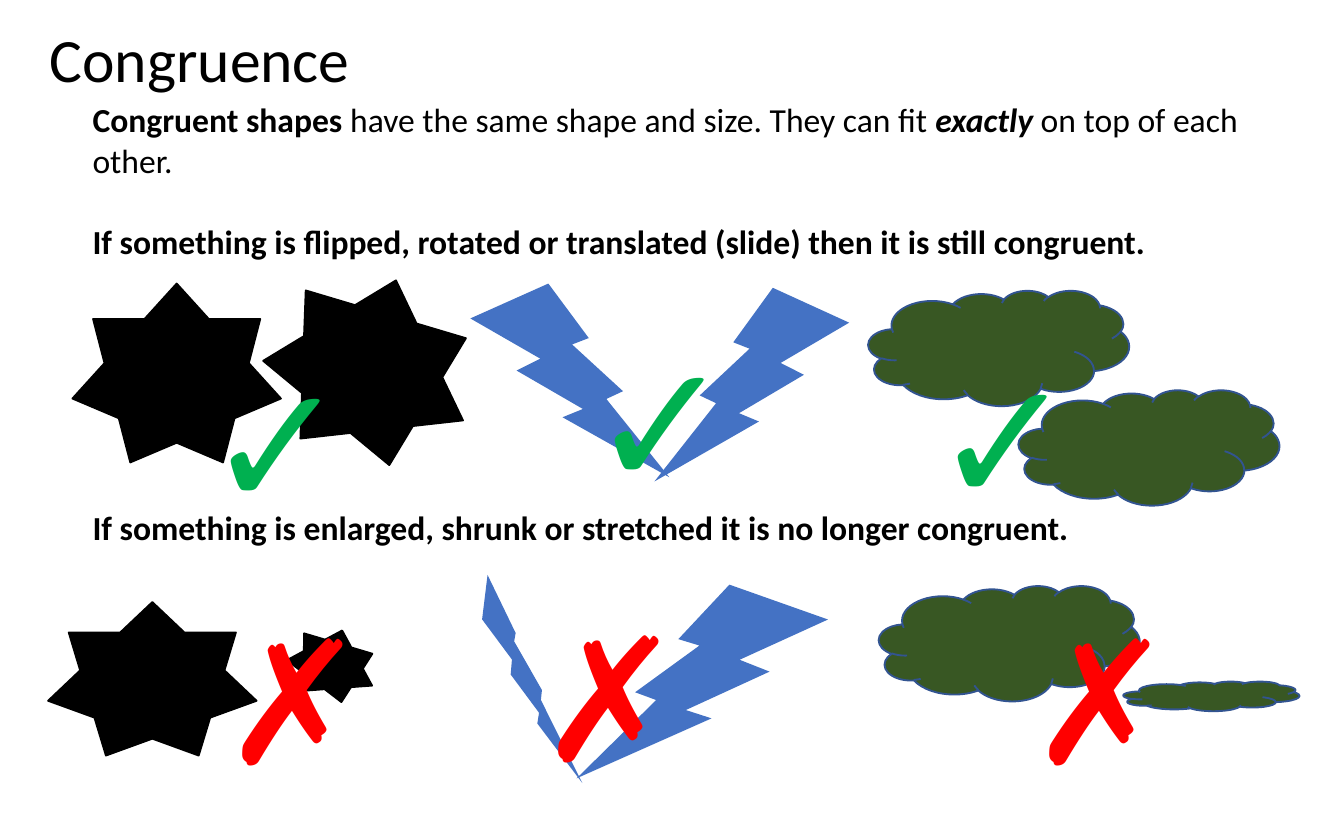
from pptx import Presentation
from pptx.dml.color import RGBColor
from pptx.enum.shapes import MSO_SHAPE
from pptx.enum.text import MSO_ANCHOR
from pptx.util import Cm, Pt

STAR = MSO_SHAPE.STAR_7_POINT
BOLT = MSO_SHAPE.LIGHTNING_BOLT
CLOUD = MSO_SHAPE.CLOUD
TOP, MIDDLE = MSO_ANCHOR.TOP, MSO_ANCHOR.MIDDLE
FONT = "Calibri"
BLACK, BLUE, GREEN, RED = "000000", "4472C4", "00B050", "FF0000"
LEAF, CLOUD_EDGE = "385723", "325491"
LINE_HEIGHT = 21.97


def colour(value):
    return RGBColor.from_string(value)


class Painter:
    """Draws styled elements on the current slide."""

    def __init__(self, page):
        self.page = page

    def text(self, left, top, width, height, paragraphs, size, ink=BLACK, anchor=TOP, spacing=1.0):
        box = self.page.shapes.add_textbox(Cm(left), Cm(top), Cm(width), Cm(height))
        frame = box.text_frame
        frame.word_wrap = True
        frame.vertical_anchor = anchor
        for index, (before, spans) in enumerate(paragraphs):
            para = frame.add_paragraph() if index else frame.paragraphs[0]
            para.line_spacing = spacing
            para.space_before = Pt(before)
            para.font.name = FONT
            para.font.size = Pt(size)
            para.font.color.rgb = colour(ink)
            for words, bold, italic in spans:
                span = para.add_run()
                span.text = words
                span.font.name = FONT
                span.font.size = Pt(size)
                span.font.color.rgb = colour(ink)
                span.font.bold = bold
                span.font.italic = italic

    def mark(self, symbol, left, top, width, ink):
        self.text(left, top, width, 4.19, [(0, [(symbol, False, False)])], 92, ink)

    def figure(self, kind, left, top, width, height, fill, edge=None, angle=0, flipped=False):
        shape = self.page.shapes.add_shape(kind, Cm(left), Cm(top), Cm(width), Cm(height))
        shape.shadow.inherit = False
        shape.fill.solid()
        shape.fill.fore_color.rgb = colour(fill)
        if edge:
            shape.line.color.rgb = colour(edge)
            shape.line.width = Pt(1)
        else:
            shape.line.fill.background()
        shape.rotation = angle
        if flipped:
            shape.element.spPr.get_or_add_xfrm().set("flipH", "1")

    def star(self, left, top, width, height, angle=0):
        self.figure(STAR, left, top, width, height, BLACK, BLACK, angle)

    def bolt(self, left, top, width, height, angle=0, flipped=False):
        self.figure(BOLT, left, top, width, height, BLUE, None, angle, flipped)

    def cloud(self, left, top, width=4.93, height=2.18):
        self.figure(CLOUD, left, top, width, height, LEAF, CLOUD_EDGE)


def main():
    deck = Presentation()
    deck.slide_width, deck.slide_height = Cm(25.4), Cm(15.875)
    painter = Painter(deck.slides.add_slide(deck.slide_layouts[6]))

    painter.text(0.69, -0.36, 21.89, 3.07, [(0, [("Congruence", False, False)])], 33,
                 anchor=MIDDLE, spacing=0.9)
    painter.text(1.5, 1.75, 23.39, 8.71, [
        (0, [("Congruent shapes", True, False),
             (" have the same shape and size. They can fit ", False, False),
             ("exactly", True, True),
             (" on top of each other.", False, False)]),
        (LINE_HEIGHT, [("If something is flipped, rotated or translated (slide) "
                        "then it is still congruent.", True, False)]),
        (6 * LINE_HEIGHT, [("If something is enlarged, shrunk or stretched "
                            "it is no longer congruent.", True, False)]),
    ], 18)

    painter.star(1.37, 5.36, 3.94, 3.38)
    painter.star(5.03, 5.23, 3.94, 3.38, angle=16.6)
    painter.bolt(8.89, 5.36, 3.76, 3.66)
    painter.bolt(12.37, 5.44, 3.68, 3.66, flipped=True)
    painter.cloud(16.41, 5.49)
    painter.cloud(19.25, 7.37)

    painter.star(0.91, 11.38, 3.94, 2.9)
    painter.star(5.44, 11.89, 1.68, 1.3, angle=16.6)
    painter.bolt(10.9, 11.05, 4.75, 3.66, flipped=True)
    painter.bolt(9.5, 10.74, 0.89, 4.29, angle=342.7)
    painter.cloud(16.61, 11.07)
    painter.cloud(21.23, 12.88, 3.33, 0.56)

    for left, top in ((3.63, 6.22), (10.9, 5.82), (17.37, 6.15)):
        painter.mark("✓", left, top, 0.99, GREEN)
    for left, top in ((3.96, 11.07), (9.93, 11.02), (19.2, 11.07)):
        painter.mark("✗", left, top, 3.23, RED)

    deck.save("out.pptx")


if __name__ == "__main__":
    main()
